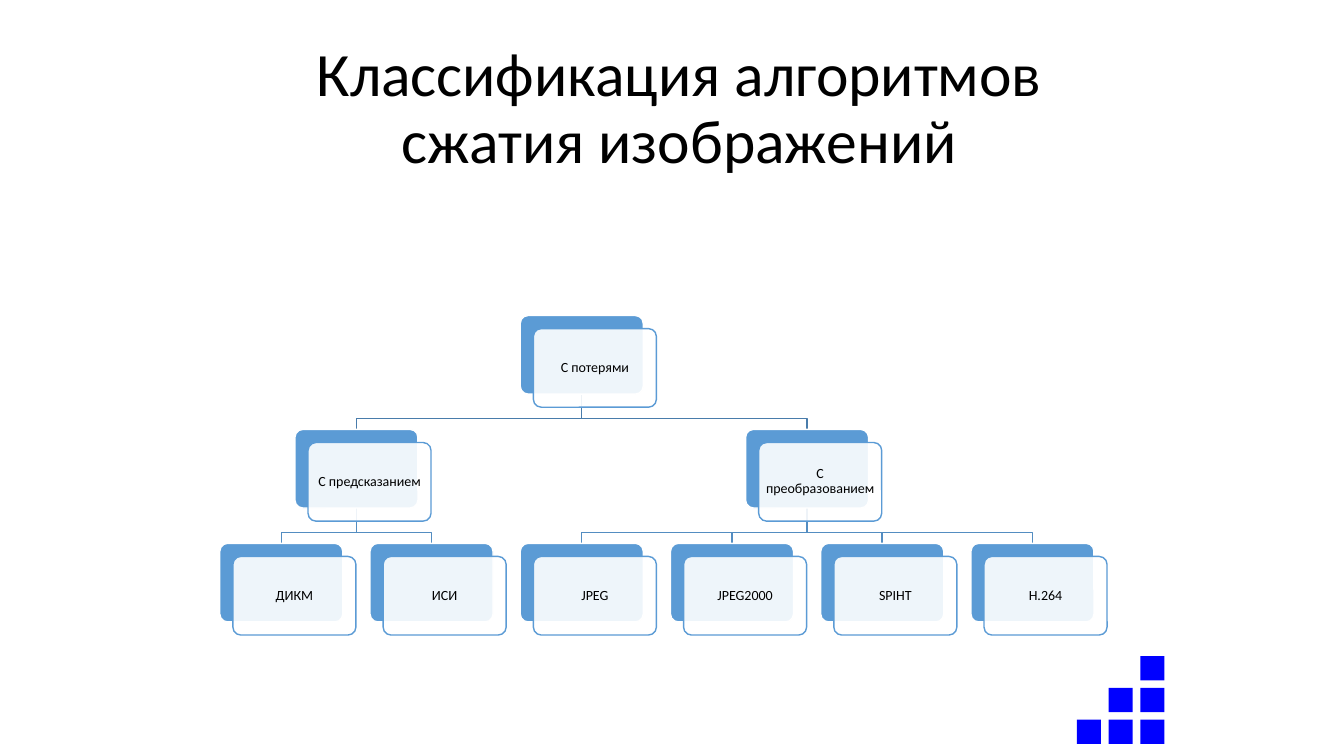
from lxml import etree
from pptx import Presentation
from pptx.dml.color import RGBColor
from pptx.enum.shapes import MSO_SHAPE
from pptx.enum.text import MSO_ANCHOR, PP_ALIGN
from pptx.oxml.ns import qn
from pptx.util import Inches, Pt

RECT, ROUNDED = MSO_SHAPE.RECTANGLE, MSO_SHAPE.ROUNDED_RECTANGLE
MIDDLE, CENTER = MSO_ANCHOR.MIDDLE, PP_ALIGN.CENTER

COLORS = {
    "text": "000000",
    "white": "FFFFFF",
    "card": "5B9BD5",
    "upper_link": "497CAB",
    "lower_link": "538DC1",
    "square": "0000FF",
}

LEFT, TOP = 2.18, 3.13
COLUMN_STEP, LEVEL_STEP = 1.49, 1.13
CARD_W, CARD_H = 1.22, 0.78
FRONT_DX, FRONT_DY = 0.13, 0.13
ELBOW_DROP = 0.24

# Each node: label, children
TREE = ("С потерями", [
    ("С предсказанием", [("ДИКМ", []), ("ИСИ", [])]),
    ("С преобразованием", [
        ("JPEG", []), ("JPEG2000", []), ("SPIHT", []), ("H.264", []),
    ]),
])


def rgb(name):
    return RGBColor.from_string(COLORS[name])


def set_text(sp, text, size, color="text", inset=0.1):
    tf = sp.text_frame
    tf.word_wrap = True
    tf.vertical_anchor = MIDDLE
    tf.margin_left = tf.margin_right = Inches(inset)
    tf.margin_top = tf.margin_bottom = Inches(min(inset, 0.05))
    p = tf.paragraphs[0]
    p.alignment = CENTER
    p.line_spacing = 0.9
    r = p.add_run()
    r.text = text
    r.font.name = "Calibri"
    r.font.size = Pt(size)
    r.font.color.rgb = rgb(color)


def add_box(shapes, kind, x, y, w, h, fill, line=None):
    sp = shapes.add_shape(kind, Inches(x), Inches(y), Inches(w), Inches(h))
    sp.shadow.inherit = False
    sp.fill.solid()
    sp.fill.fore_color.rgb = rgb(fill)
    if line:
        sp.line.color.rgb = rgb(line)
        sp.line.width = Pt(1)
    else:
        sp.line.fill.background()
    return sp


def set_opacity(sp, percent):
    color = sp.fill._xPr.find(qn("a:solidFill"))[0]
    etree.SubElement(color, qn("a:alpha"), val=str(percent * 1000))


def add_card(shapes, label, x, y):
    """Draw a solid card with a translucent labelled card offset over it."""
    back = add_box(shapes, ROUNDED, x, y, CARD_W, CARD_H, "card", "white")
    front = add_box(shapes, ROUNDED, x + FRONT_DX, y + FRONT_DY,
                    CARD_W, CARD_H, "white", "card")
    back.adjustments[0] = front.adjustments[0] = 0.1
    set_opacity(front, 90)
    set_text(front, label, 10, inset=0.03)


def add_link(shapes, parent, child, color):
    """Draw an elbow line from the bottom of one card to the top of another."""
    x1, y1 = parent[0] + CARD_W / 2, parent[1] + CARD_H
    x2, y2 = child[0] + CARD_W / 2, child[1]
    bend = y1 + ELBOW_DROP
    builder = shapes.build_freeform(Inches(x1), Inches(y1))
    builder.add_line_segments(
        [(Inches(x), Inches(y)) for x, y in ((x1, bend), (x2, bend), (x2, y2))],
        close=False)
    sp = builder.convert_to_shape()
    sp.shadow.inherit = False
    sp.fill.background()
    sp.line.color.rgb = rgb(color)
    sp.line.width = Pt(1)


def place(node, level, column, cards, links):
    """Collect cards and links; return the node's column and next free column."""
    label, children = node
    columns = []
    for child in children:
        child_column, column = place(child, level + 1, column, cards, links)
        columns.append(child_column)
    if children:
        own = sum(columns) / len(columns)
    else:
        own, column = column, column + 1
    cards.append((label, *position(own, level)))
    color = "lower_link" if level else "upper_link"
    links += [(position(own, level), position(c, level + 1), color)
              for c in columns]
    return own, column


def position(column, level):
    return LEFT + column * COLUMN_STEP, TOP + level * LEVEL_STEP


def add_tree(slide):
    cards, links = [], []
    place(TREE, 0, 0, cards, links)
    shapes = slide.shapes.add_group_shape().shapes
    for link in links:
        add_link(shapes, *link)
    for card in cards:
        add_card(shapes, *card)


def add_staircase(slide):
    shapes = slide.shapes.add_group_shape().shapes
    step, size = 0.315, 0.24
    for row in range(3):
        for column in range(2 - row, 3):
            add_box(shapes, RECT, 10.68 + column * step, 6.51 + row * step,
                    size, size, "square")


def add_title(slide, text):
    title = slide.shapes.title
    title.left, title.top = Inches(2.48), Inches(0.29)
    title.width, title.height = Inches(8.52), Inches(1.6)
    set_text(title, text, 44)


def main():
    prs = Presentation()
    prs.slide_width, prs.slide_height = Inches(13.33), Inches(7.5)
    slide = prs.slides.add_slide(prs.slide_layouts[5])
    add_title(slide, "Классификация алгоритмов сжатия изображений")
    add_staircase(slide)
    add_tree(slide)
    prs.save("out.pptx")


if __name__ == "__main__":
    main()
